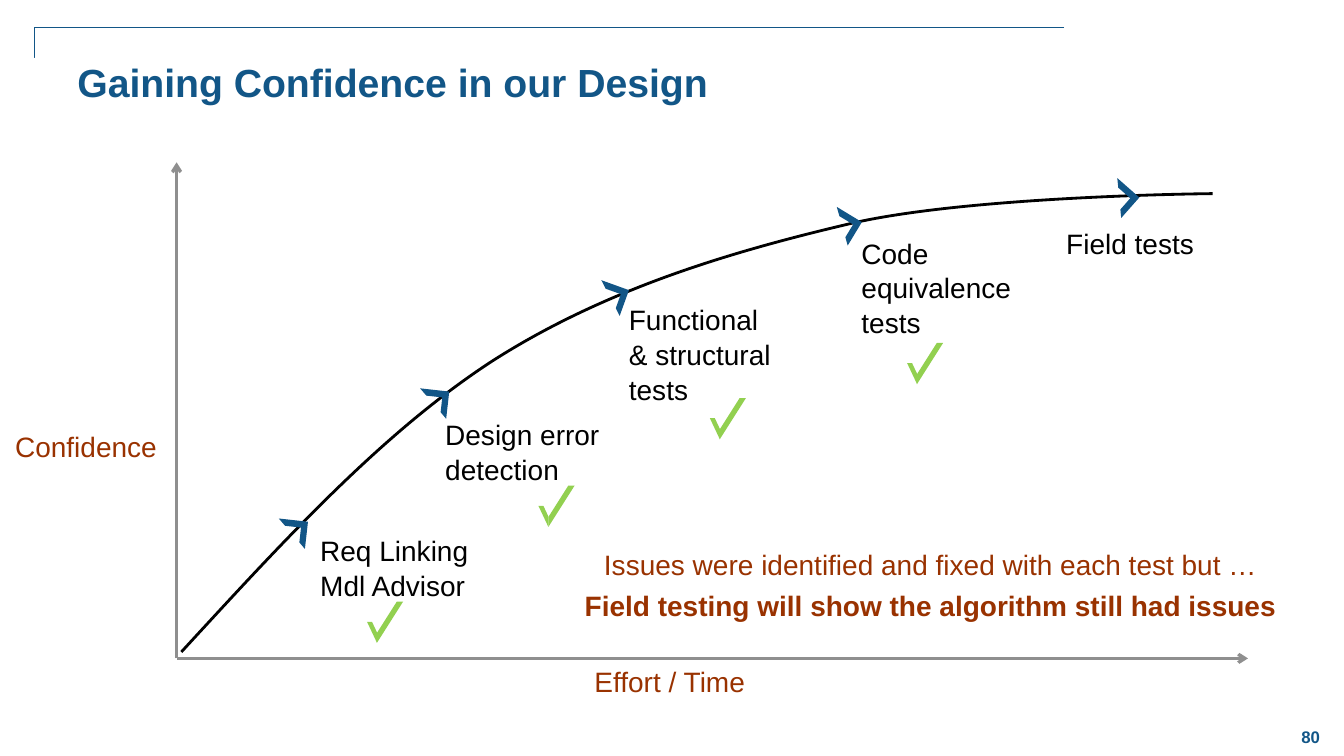
from lxml import etree
from pptx import Presentation, util as u
from pptx.dml.color import RGBColor
from pptx.enum import shapes, text
from pptx.oxml.ns import qn

STEPS = [  # label, label position, arrowhead position, arrowhead angle, check position
    ("Req Linking\nMdl Advisor", (7.82, 13.28), (7.01, 13.08), 96.4, (9.5, 15.16)),
    ("Design error detection", (10.97, 10.36), (10.57, 9.8), 96.4, (13.82, 12.24)),
    ("Functional\v& structural tests", (15.6, 7.47), (15.04, 7.14), 109.8, (18.14, 10.03)),
    ("Code equivalence tests", (21.46, 5.79), (20.88, 5.33), 121.2, (23.11, 8.64)),
    ("Field tests", (26.62, 5.54), (27.86, 4.62), 131.4, None),
]
CURVE = [(4.57, 16.43), (7.11, 13.67), (9.63, 10.9), (12.42, 9.09),
         (15.24, 7.29), (18.39, 6.35), (21.41, 5.64),
         (24.43, 4.93), (30.56, 4.88), (30.56, 4.88)]
ORIGIN = (4.45, 16.59)


def color(hex_code):
    return RGBColor.from_string(hex_code)


class Deck:
    FONT = "Arial"
    BLUE, RUST, GREEN = "125687", "993200", "92D050"
    BLACK, GRAY = "000000", "8F8F8F"

    def __init__(self, width, height):
        self.prs = Presentation()
        self.prs.slide_width, self.prs.slide_height = u.Cm(width), u.Cm(height)
        self.slide = self.prs.slides.add_slide(self.prs.slide_layouts[6])

    def label(self, content, left, top, width, height, size=20, ink=BLACK, bold_lines=(),
              align=text.PP_ALIGN.LEFT, anchor=text.MSO_ANCHOR.TOP, wrap=True, gap=0):
        """Put one paragraph per line of content; gap is the points between paragraphs."""
        box = self.slide.shapes.add_textbox(u.Cm(left), u.Cm(top), u.Cm(width), u.Cm(height))
        frame = box.text_frame
        frame.word_wrap, frame.vertical_anchor = wrap, anchor
        for index, line in enumerate(content.split("\n")):
            paragraph = frame.add_paragraph() if index else frame.paragraphs[0]
            paragraph.text = line
            paragraph.alignment, paragraph.line_spacing = align, 1.04
            if index and gap:
                paragraph.space_before = u.Pt(gap)
            for run in paragraph.runs:
                run.font.name, run.font.size = self.FONT, u.Pt(size)
                run.font.bold = index in bold_lines
                run.font.color.rgb = color(ink)

    def connect(self, start, end, ink, weight, kind=shapes.MSO_CONNECTOR.STRAIGHT,
                arrow=False, bend=None):
        """Draw a connector; bend is where an elbow turns, in thousandths of a percent."""
        line = self.slide.shapes.add_connector(kind, *(u.Cm(n) for n in (*start, *end)))
        line.line.color.rgb, line.line.width = color(ink), u.Pt(weight)
        properties = line._element.spPr
        if bend is not None:
            guides = properties.find(qn("a:prstGeom")).find(qn("a:avLst"))
            etree.SubElement(guides, qn("a:gd"), name="adj1", fmla=f"val {bend}")
        if arrow:
            etree.SubElement(properties.find(qn("a:ln")), qn("a:tailEnd"), type="arrow")
        etree.SubElement(properties, qn("a:effectLst"))

    def curve(self, points, ink, weight):
        """Draw joined cubic curves through every third point."""
        start, *rest = [(u.Cm(x), u.Cm(y)) for x, y in points]
        builder = self.slide.shapes.build_freeform(*start, scale=1.0)
        builder.add_line_segments(rest, close=False)
        outline = builder.convert_to_shape()
        outline.shadow.inherit = False
        outline.fill.background()
        outline.line.color.rgb, outline.line.width = color(ink), u.Pt(weight)
        segments = outline._element.findall(".//" + qn("a:lnTo"))
        for first in range(0, len(segments), 3):
            trio = segments[first:first + 3]
            bezier = etree.Element(qn("a:cubicBezTo"))
            trio[0].addprevious(bezier)
            for segment in trio:
                bezier.append(segment[0])
                segment.getparent().remove(segment)

    def solid(self, kind, left, top, width, height, fill, angle=0, adjust=(), parent=None):
        owner = parent or self.slide
        shape = owner.shapes.add_shape(kind, u.Cm(left), u.Cm(top), u.Cm(width), u.Cm(height))
        shape.shadow.inherit = False
        shape.fill.solid()
        shape.fill.fore_color.rgb = color(fill)
        shape.line.fill.background()
        shape.rotation = angle
        for index, value in enumerate(adjust):
            shape.adjustments[index] = value

    def check(self, left, top):
        mark = self.slide.shapes.add_group_shape()
        stripe = shapes.MSO_SHAPE.DIAGONAL_STRIPE
        self.solid(stripe, left, top, 0.66, 1.04, self.GREEN, adjust=[0.76], parent=mark)
        self.solid(stripe, left - 0.39, top + 0.65, 0.53, 0.25, self.GREEN, 90, parent=mark)


def main():
    deck = Deck(33.87, 19.05)
    center, middle = text.PP_ALIGN.CENTER, text.MSO_ANCHOR.MIDDLE

    deck.connect((26.82, 0.69), (0.85, 1.45), deck.BLUE, 1,
                 kind=shapes.MSO_CONNECTOR.ELBOW, bend=99900)
    deck.label("80", 32.18, 18.01, 1.7, 1.07, size=12, ink=deck.BLUE, bold_lines=[0],
               align=center, anchor=middle)
    deck.label("Gaining Confidence in our Design", 1.7, 1.3, 29.92, 2.74, size=28,
               ink=deck.BLUE, bold_lines=[0])

    deck.curve(CURVE, deck.BLACK, 2)
    for axis_end in [(31.45, ORIGIN[1]), (ORIGIN[0], 4.09)]:
        deck.connect(ORIGIN, axis_end, deck.GRAY, 2.25, arrow=True)
    deck.label("Effort / Time", 14.73, 16.59, 4.32, 1.12, ink=deck.RUST, wrap=False)
    deck.label("Confidence", 0.13, 10.67, 4.11, 1.12, ink=deck.RUST, wrap=False)

    for step, step_at, arrow_at, angle, check_at in STEPS:
        deck.label(step, *step_at, 4.57, 1.12)
        deck.solid(shapes.MSO_SHAPE.HALF_FRAME, *arrow_at, 0.69, 0.74, deck.BLUE, angle,
                   adjust=[0.23, 0.24])
        if check_at:
            deck.check(*check_at)

    deck.label("Issues were identified and fixed with each test but …\n"
               "Field testing will show the algorithm still had issues",
               14.4, 13.65, 18.11, 2.26, ink=deck.RUST, bold_lines=[1], align=center, gap=4)
    deck.prs.save("out.pptx")


if __name__ == "__main__":
    main()
